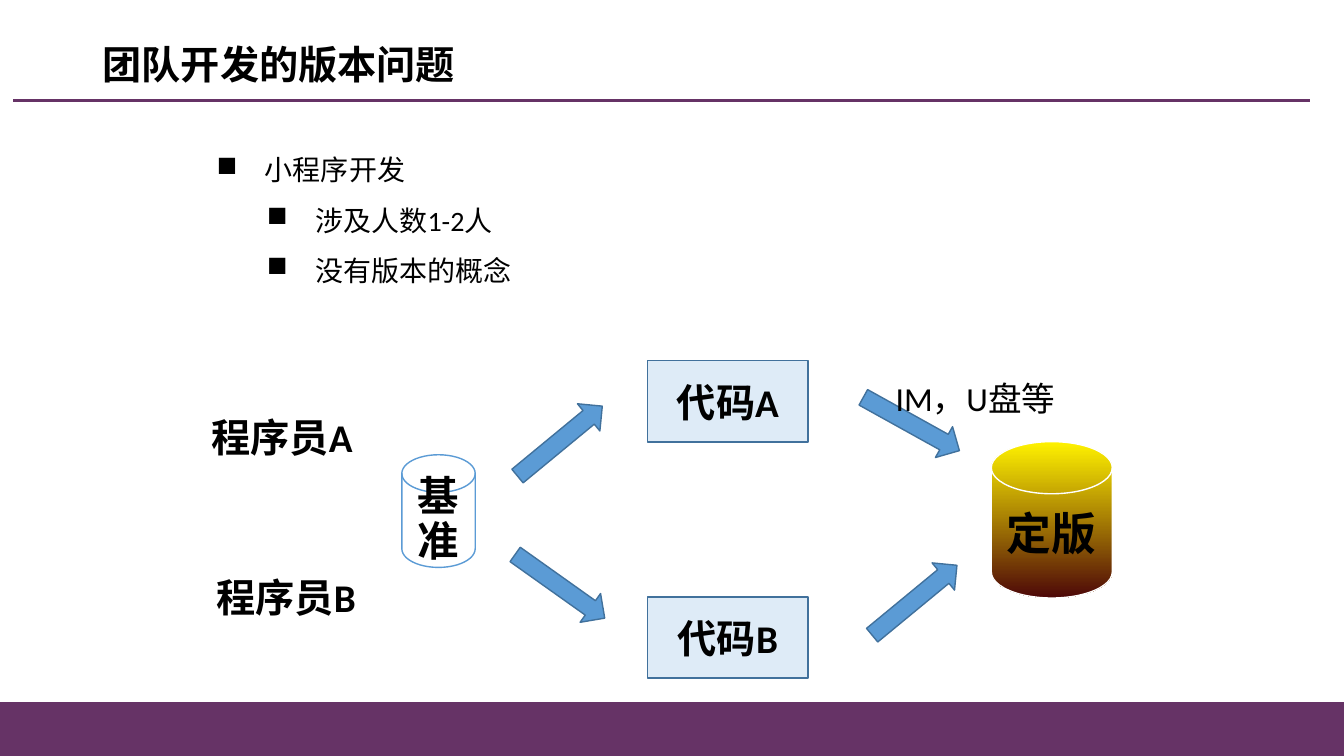
import pptx
import pptx.dml.color
import pptx.enum.shapes
import pptx.enum.text
import pptx.oxml.ns
import pptx.util
from lxml import etree

Cm = pptx.util.Cm
Pt = pptx.util.Pt
RGBColor = pptx.dml.color.RGBColor
Shape = pptx.enum.shapes.MSO_SHAPE
Anchor = pptx.enum.text.MSO_ANCHOR
Align = pptx.enum.text.PP_ALIGN
AutoSize = pptx.enum.text.MSO_AUTO_SIZE
qn = pptx.oxml.ns.qn

PURPLE = RGBColor(0x66, 0x33, 0x66)
BLACK = RGBColor(0, 0, 0)
WHITE = RGBColor(0xFF, 0xFF, 0xFF)
PALE_BLUE = RGBColor(0xDE, 0xEB, 0xF7)
BLUE = RGBColor(0x5B, 0x9B, 0xD5)
DARK_BLUE = RGBColor(0x41, 0x71, 0x9C)
YELLOW = RGBColor(0xFF, 0xF2, 0x00)
MAROON = RGBColor(0x4D, 0x08, 0x08)


class SlideBuilder:
    """Draw styled elements on one slide, with places given in centimetres."""

    font = "Calibri"

    def __init__(self, page):
        self.page = page

    def fill_text(self, frame, lines, size, bold=False, align=Align.LEFT, spacing=1.0):
        frame.text = "\n".join(lines)
        for para in frame.paragraphs:
            para.alignment = align
            para.line_spacing = spacing
            for span in para.runs:
                span.font.name = self.font
                span.font.size = Pt(size)
                span.font.bold = bold
                span.font.color.rgb = BLACK

    def text(self, place, lines, size, bold=False, wrap=True, spacing=1.0, anchor=Anchor.TOP):
        box = self.page.shapes.add_textbox(*map(Cm, place))
        frame = box.text_frame
        self.fill_text(frame, lines, size, bold, spacing=spacing)
        frame.word_wrap = wrap
        frame.vertical_anchor = anchor
        frame.auto_size = AutoSize.NONE if anchor == Anchor.MIDDLE else AutoSize.SHAPE_TO_FIT_TEXT
        return box

    def bullets(self, place, items, size):
        box = self.text(place, [label for label, level in items], size, spacing=1.5)
        for para, (label, level) in zip(box.text_frame.paragraphs, items):
            para.level = level
            properties = para._p.get_or_add_pPr()
            properties.set("marL", str(Cm(1.22 + 1.27 * level)))
            properties.set("indent", str(-Cm(1.22)))
            colour = etree.SubElement(properties, qn("a:buClr"))
            etree.SubElement(colour, qn("a:srgbClr"), val=str(BLACK))
            etree.SubElement(properties, qn("a:buChar"), char="■")

    def shape(self, kind, place, fill, line, label="", size=28, spacing=1.0):
        shape = self.page.shapes.add_shape(kind, *map(Cm, place))
        shape.shadow.inherit = False
        if isinstance(fill, list):
            shape.fill.gradient()
            shape.fill.gradient_angle = 270
            for stop, colour in zip(shape.fill.gradient_stops, fill):
                stop.color.rgb = colour
        else:
            shape.fill.solid()
            shape.fill.fore_color.rgb = fill
        shape.line.color.rgb = line
        shape.line.width = Pt(1)
        if label:
            shape.text_frame.word_wrap = True
            shape.text_frame.vertical_anchor = Anchor.MIDDLE
            self.fill_text(shape.text_frame, [label], size, True, Align.CENTER, spacing)
        return shape

    def arrow(self, left, top, angle):
        arrow = self.shape(Shape.RIGHT_ARROW, (left, top, 2.77, 0.89), BLUE, DARK_BLUE)
        arrow.rotation = angle

    def rule(self, left, right, top):
        straight = pptx.enum.shapes.MSO_CONNECTOR.STRAIGHT
        rule = self.page.shapes.add_connector(straight, Cm(left), Cm(top), Cm(right), Cm(top))
        rule.line.color.rgb = PURPLE
        rule.line.width = Pt(2.25)
        etree.SubElement(rule._element.spPr, qn("a:effectLst"))


def main():
    deck = pptx.Presentation()
    deck.slide_width, deck.slide_height = Cm(33.88), Cm(19.05)
    builder = SlideBuilder(deck.slides.add_slide(deck.slide_layouts[6]))

    builder.shape(Shape.RECTANGLE, (0, 17.7, 33.88, 1.35), PURPLE, PURPLE)
    builder.rule(0.33, 33.02, 2.54)
    builder.text((2.34, 0.76, 29.21, 1.85), ["团队开发的版本问题"], 28, True,
                 spacing=0.9, anchor=Anchor.MIDDLE)
    builder.bullets((5.21, 3.3, 25.27, 4.06),
                    [("小程序开发", 0), ("涉及人数1-2人", 1), ("没有版本的概念", 1)], 20)

    for name, left, top, code_top in (("A", 5.08, 10.29, 9.09), ("B", 5.21, 14.33, 15.04)):
        builder.text((left, top, 4.14, 2.64), ["程序员" + name], 28, True)
        builder.shape(Shape.RECTANGLE, (16.33, code_top, 4.04, 2.05),
                      PALE_BLUE, DARK_BLUE, "代码" + name)

    disk = Shape.FLOWCHART_MAGNETIC_DISK
    builder.shape(disk, (10.13, 11.46, 1.85, 2.84), WHITE, BLUE, "基准", 29.6, 0.9)
    builder.shape(disk, (24.99, 11.13, 3.05, 3.94), [YELLOW, MAROON], WHITE, "定版", 32)

    for left, top, angle in ((12.73, 10.67, 320.5), (12.73, 14.33, 35.4),
                             (21.59, 10.24, 29), (21.67, 14.68, 320.5)):
        builder.arrow(left, top, angle)
    builder.text((22.33, 9.4, 5.33, 1.27), ["IM，U盘等"], 24, wrap=False)

    deck.save("out.pptx")


if __name__ == "__main__":
    main()
